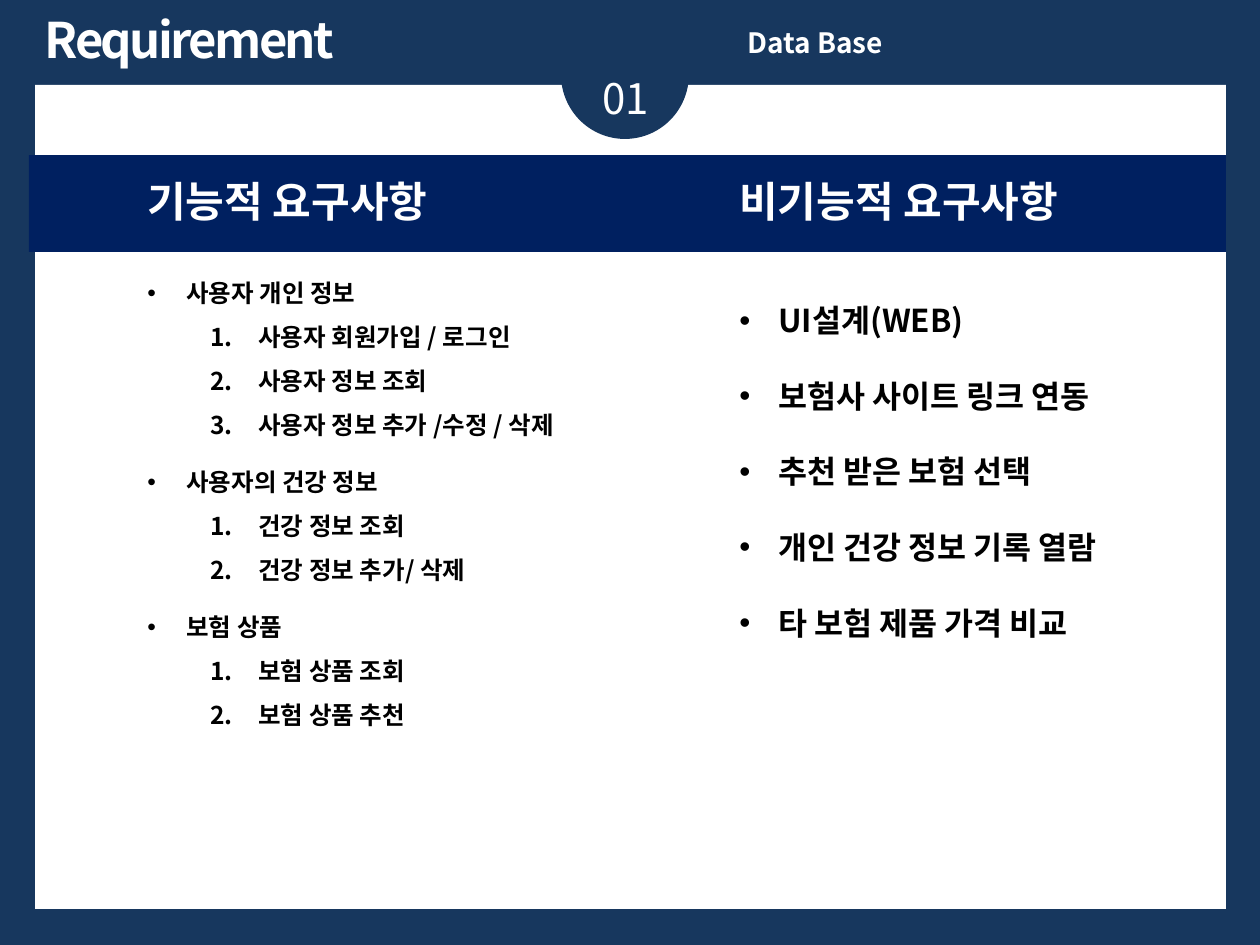
from dataclasses import dataclass, field

from lxml import etree
from pptx import Presentation
from pptx import util as u
from pptx.dml.color import RGBColor
from pptx.enum import shapes, text
from pptx.oxml.ns import qn

PX_PER_INCH = 126
FONT = "Noto Sans CJK KR"
NAVY, BAND, WHITE, BLACK = "17375E", "002060", "FFFFFF", "000000"


@dataclass
class Area:
    left: int
    top: int
    width: int
    height: int

    def emu(self) -> list[int]:
        return [px(n) for n in (self.left, self.top, self.width, self.height)]


@dataclass
class Panel:
    kind: shapes.MSO_SHAPE
    area: Area
    color: str


@dataclass
class Bullet:
    tag: str
    attributes: dict
    margin: int
    hanging: int
    level: int = 0


@dataclass
class Line:
    words: str
    size: int
    color: str = WHITE
    bold: bool = True
    tracking: int = 0
    bullet: Bullet | None = None
    layout: dict = field(default_factory=dict)


@dataclass
class Label:
    area: Area
    lines: list[Line]
    wrap: bool = True


DOT = Bullet("a:buChar", {"char": "•"}, margin=39, hanging=39)
NUMBER = Bullet("a:buAutoNum", {"type": "arabicPeriod"}, margin=111, hanging=48, level=1)

FUNCTIONAL = {
    "사용자 개인 정보": ["사용자 회원가입 / 로그인", "사용자 정보 조회", "사용자 정보 추가 /수정 / 삭제"],
    "사용자의 건강 정보": ["건강 정보 조회", "건강 정보 추가/ 삭제"],
    "보험 상품": ["보험 상품 조회", "보험 상품 추천"],
}
NON_FUNCTIONAL = [
    "UI설계(WEB)",
    "보험사 사이트 링크 연동",
    "추천 받은 보험 선택",
    "개인 건강 정보 기록 열람",
    "타 보험 제품 가격 비교",
]
HEADING_GAP, GROUP_GAP = 21.6, 7.2

PANELS = [
    Panel(shapes.MSO_SHAPE.RECTANGLE, Area(35, 85, 1191, 824), WHITE),
    Panel(shapes.MSO_SHAPE.OVAL, Area(561, 10, 128, 129), NAVY),
    Panel(shapes.MSO_SHAPE.RECTANGLE, Area(29, 155, 1197, 97), BAND),
]


def px(length: int) -> int:
    return round(length * u.Inches(1) / PX_PER_INCH)


def rgb(color: str) -> RGBColor:
    return RGBColor.from_string(color)


def apply(target, values: dict) -> None:
    for name, value in values.items():
        setattr(target, name, value)


def functional_lines() -> list[Line]:
    lines = [Line("기능적 요구사항", 24)]
    for group, (title, items) in enumerate(FUNCTIONAL.items()):
        gap = GROUP_GAP if group else HEADING_GAP
        spaced = {"line_spacing": 1.5, "space_before": u.Pt(gap)}
        lines.append(Line(title, 14, BLACK, bullet=DOT, layout=spaced))
        lines += [Line(item, 14, BLACK, bullet=NUMBER, layout={"line_spacing": 1.5})
                  for item in items]
    return lines


def non_functional_lines() -> list[Line]:
    lines = [Line("비기능적 요구사항", 24)]
    for index, item in enumerate(NON_FUNCTIONAL):
        gap = 0 if index else HEADING_GAP
        spaced = {"line_spacing": 2.0, "space_before": u.Pt(gap)}
        lines.append(Line(item, 18, BLACK, bullet=DOT, layout=spaced))
    return lines


def draw_panel(page, panel: Panel) -> None:
    shape = page.shapes.add_shape(panel.kind, *panel.area.emu())
    shape.shadow.inherit = False
    shape.fill.solid()
    shape.fill.fore_color.rgb = rgb(panel.color)
    shape.line.fill.background()


def add_bullet(para, bullet: Bullet) -> None:
    para.level = bullet.level
    properties = para._p.get_or_add_pPr()
    properties.set("marL", str(px(bullet.margin)))
    properties.set("indent", str(-px(bullet.hanging)))
    if bullet is DOT:
        etree.SubElement(properties, qn("a:buFont"), typeface="Arial")
    etree.SubElement(properties, qn(bullet.tag), bullet.attributes)


def write_line(para, line: Line) -> None:
    apply(para, line.layout)
    if line.bullet:
        add_bullet(para, line.bullet)
    span = para.add_run()
    span.text = line.words
    apply(span.font, {"name": FONT, "size": u.Pt(line.size), "bold": line.bold})
    span.font.color.rgb = rgb(line.color)
    properties = span._r.get_or_add_rPr()
    etree.SubElement(properties, qn("a:ea"), typeface=FONT)
    if line.tracking:
        properties.set("spc", str(line.tracking))


def draw_label(page, label: Label) -> None:
    frame = page.shapes.add_textbox(*label.area.emu()).text_frame
    apply(frame, {"word_wrap": label.wrap,
                  "auto_size": text.MSO_AUTO_SIZE.SHAPE_TO_FIT_TEXT})
    for index, line in enumerate(label.lines):
        write_line(frame.add_paragraph() if index else frame.paragraphs[0], line)


def main() -> None:
    deck = Presentation()
    apply(deck, {"slide_width": px(1260), "slide_height": px(945)})
    page = deck.slides.add_slide(deck.slide_layouts[6])
    page.background.fill.solid()
    page.background.fill.fore_color.rgb = rgb(NAVY)

    centered = {"alignment": text.PP_ALIGN.CENTER}
    justified = {"alignment": text.PP_ALIGN.JUSTIFY}
    labels = [
        Label(Area(29, 3, 318, 72),
              [Line("Requirements", 28, tracking=-150, layout=centered)], wrap=False),
        Label(Area(551, 66, 149, 63), [Line("01", 24, bold=False, layout=centered)]),
        Label(Area(735, 19, 496, 47), [Line("Data Base", 16, layout=justified)]),
        Label(Area(135, 169, 474, 567), functional_lines()),
        Label(Area(727, 169, 428, 471), non_functional_lines(), wrap=False),
    ]
    for panel in PANELS:
        draw_panel(page, panel)
    for label in labels:
        draw_label(page, label)
    deck.save("out.pptx")


if __name__ == "__main__":
    main()
